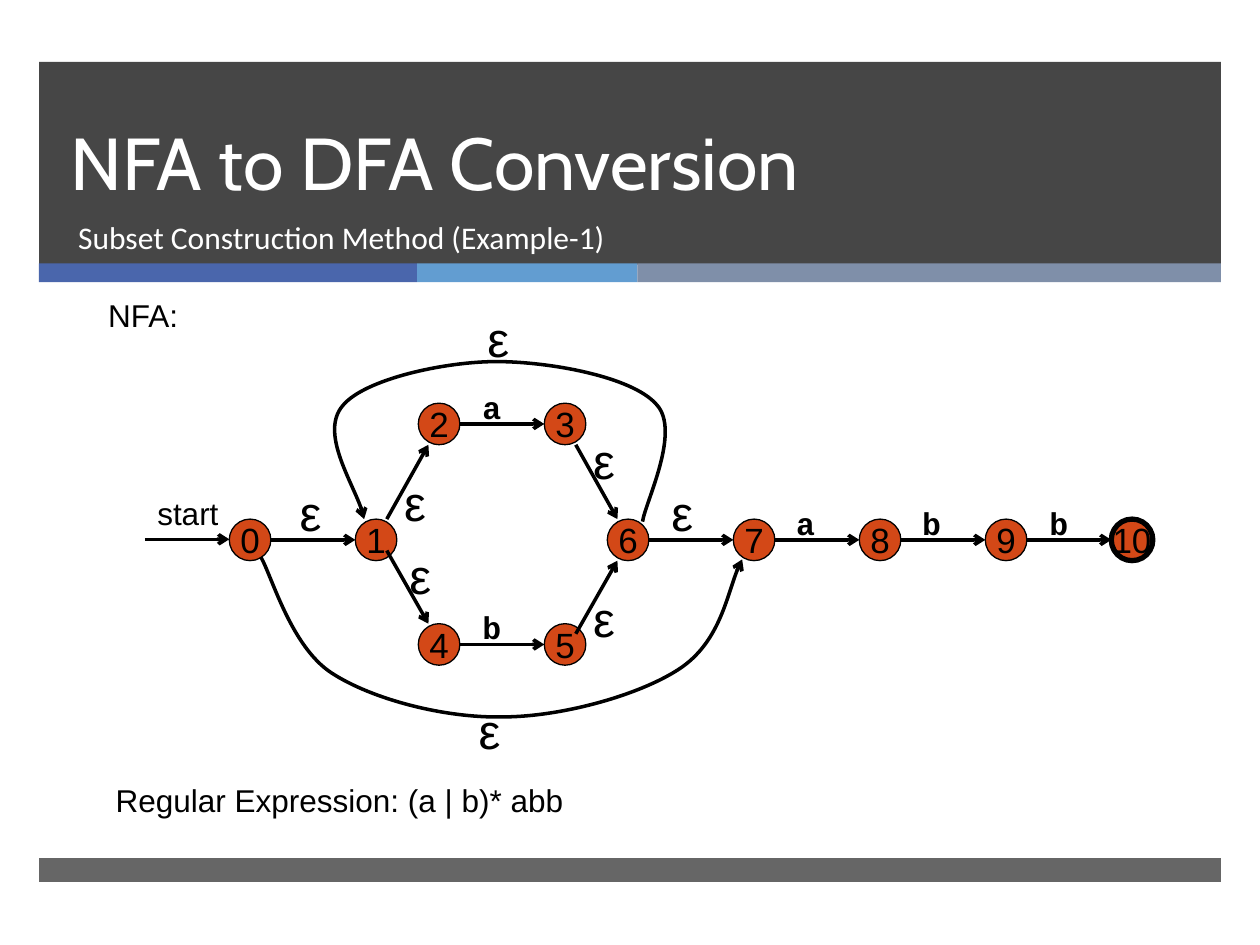
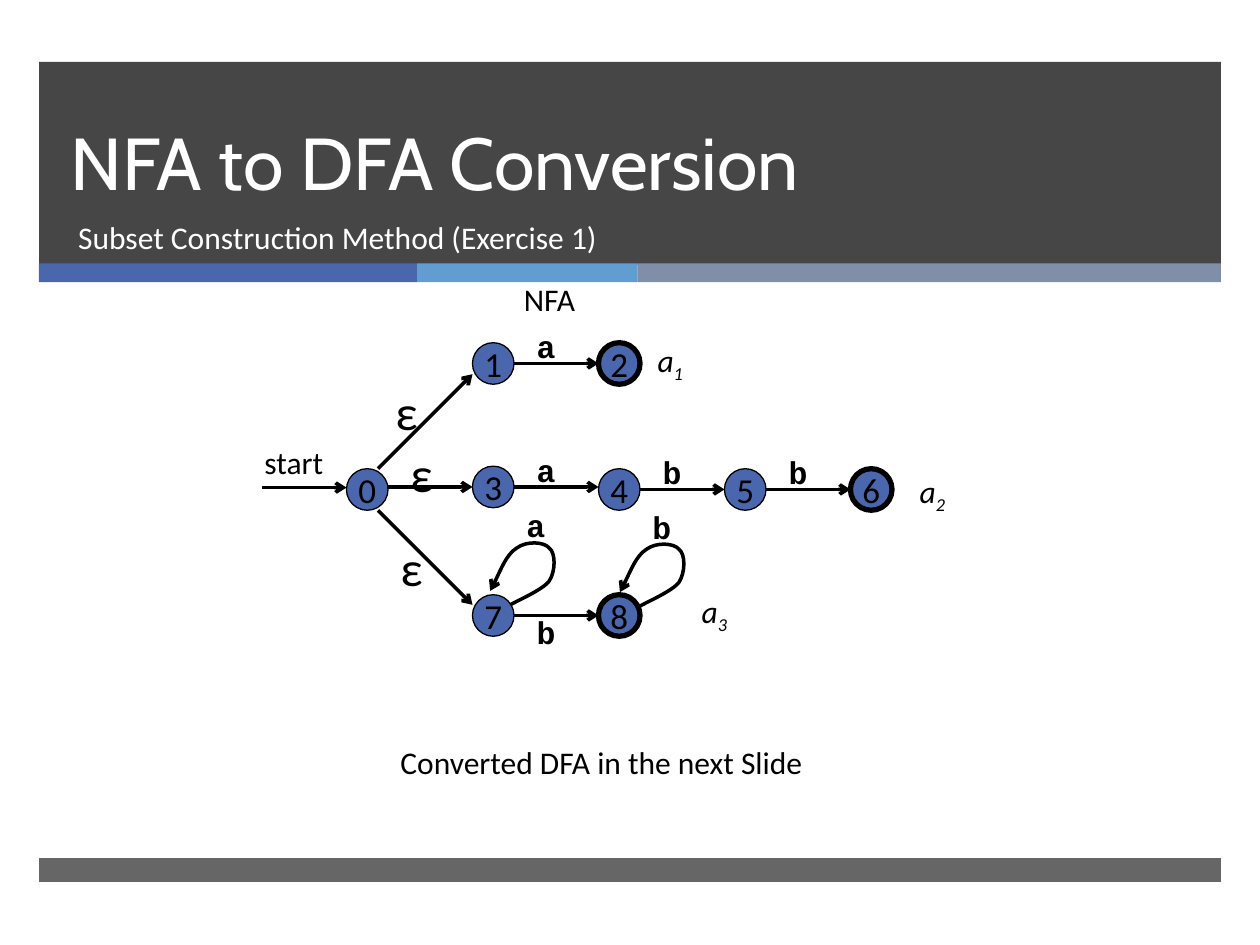
from lxml import etree
from pptx import Presentation
from pptx.dml.color import RGBColor
from pptx.enum.shapes import MSO_CONNECTOR, MSO_SHAPE
from pptx.enum.text import MSO_ANCHOR, MSO_AUTO_SIZE, PP_ALIGN
from pptx.oxml.ns import qn
from pptx.util import Inches, Pt

BLACK = RGBColor(0x00, 0x00, 0x00)
WHITE = RGBColor(0xFF, 0xFF, 0xFF)
DARK = RGBColor(0x26, 0x26, 0x26)
BLUE = RGBColor(0x4A, 0x66, 0xAC)
SKY = RGBColor(0x62, 0x9D, 0xD1)
SLATE = RGBColor(0x7F, 0x8F, 0xA9)
ORANGE = RGBColor(0xD3, 0x48, 0x17)

TITLE = "NFA to DFA Conversion"
TITLE_BOX = (0.46, 0.49, 8.54, 1.19)
SUBTITLE_BOX = (0.52, 1.68, 8.48, 0.53)

# Shared bands: box, colour, opacity in percent
BANDS = [
    ((0.31, 0.49, 9.38, 1.61), DARK, 85),
    ((0.31, 2.09, 3.00, 0.15), BLUE, 100),
    ((3.31, 2.09, 1.75, 0.15), SKY, 100),
    ((5.06, 2.09, 4.63, 0.15), SLATE, 100),
    ((0.31, 6.81, 9.38, 0.19), DARK, 70),
]

# State circles and the points on them where arrows attach
SIZE = 0.33
START_LENGTH = 0.67
PORTS = {
    "right": (SIZE, SIZE / 2), "left": (0, SIZE / 2),
    "top right": (0.25, 0), "bottom right": (0.25, SIZE),
    "top left": (0.08, 0), "bottom left": (0.08, SIZE),
    "inner top right": (0.25, 0.08), "inner bottom right": (0.25, 0.25),
    "upper left": (0, 0.08), "lower left": (0, 0.25),
}

# Self-loop of state 7; state 8 has the same one further right
LOOP = [(4.05, 4.80), (4.10, 4.77), (4.31, 4.68), (4.36, 4.61),
        (4.41, 4.53), (4.41, 4.39), (4.36, 4.35),
        (4.32, 4.30), (4.18, 4.29), (4.10, 4.35),
        (4.02, 4.40), (3.93, 4.62), (3.89, 4.69)]

SLIDES = [
    {
        "subtitle": "Subset Construction Method (Example-1)",
        "font": "Arial",
        "fill": ORANGE,
        "states": {
            0: (1.82, 4.12), 1: (2.82, 4.12), 2: (3.32, 3.20), 3: (4.32, 3.20),
            4: (3.32, 4.95), 5: (4.32, 4.95), 6: (4.82, 4.12), 7: (5.82, 4.12),
            8: (6.82, 4.12), 9: (7.82, 4.12), 10: (8.82, 4.12),
        },
        "accepting": [10],
        "straight": [(0, 1), (2, 3), (4, 5), (6, 7), (7, 8), (8, 9), (9, 10)],
        "slanted": [
            (1, "top right", 2, "bottom left"),
            (3, "bottom right", 6, "top left"),
            (1, "inner bottom right", 4, "top left"),
            (5, "inner top right", 6, "bottom left"),
        ],
        "curves": [
            [(5.10, 4.14), (5.12, 3.99), (5.41, 3.42), (5.21, 3.21),
             (5.02, 2.99), (4.36, 2.87), (3.94, 2.87),
             (3.53, 2.87), (2.89, 3.01), (2.72, 3.22),
             (2.54, 3.43), (2.86, 3.93), (2.89, 4.12)],
            [(2.07, 4.42), (2.16, 4.58), (2.31, 5.13), (2.63, 5.34),
             (2.95, 5.55), (3.53, 5.70), (3.99, 5.69),
             (4.45, 5.69), (5.07, 5.52), (5.39, 5.31),
             (5.71, 5.10), (5.79, 4.62), (5.89, 4.44)],
        ],
        "start_y": 4.28,
        "symbols": [
            ("a", 6.22, 3.95), ("b", 7.22, 3.95), ("b", 8.23, 3.95),
            ("a", 3.73, 3.03), ("b", 3.73, 4.78),
        ],
        "epsilons": [
            (2.28, 3.78), (3.11, 3.70), (3.15, 4.28), (4.61, 4.62),
            (4.61, 3.37), (5.23, 3.78), (3.70, 5.51), (3.77, 2.40),
        ],
        "captions": [
            ("start", (1.15, 3.87, 0.69, 0.4), False),
            ("Regular Expression: (a | b)* abb", (0.82, 6.15, 7.12, 0.4), True),
            ("NFA:", (0.76, 2.30, 7.12, 0.4), True),
        ],
        "patterns": [],
    },
    {
        "subtitle": "Subset Construction Method (Exercise 1)",
        "font": "Calibri",
        "fill": BLUE,
        "states": {
            0: (2.75, 3.72), 1: (3.75, 2.72), 2: (4.75, 2.72), 3: (3.75, 3.70),
            4: (4.75, 3.72), 5: (5.75, 3.72), 6: (6.75, 3.72),
            7: (3.75, 4.72), 8: (4.75, 4.72),
        },
        "accepting": [2, 6, 8],
        "straight": [(1, 2), (0, 3), (3, 4), (4, 5), (5, 6), (7, 8)],
        "slanted": [
            (0, "top right", 1, "lower left"),
            (0, "bottom right", 7, "upper left"),
        ],
        "curves": [LOOP, [(x + 1.03, y + 0.01) for x, y in LOOP]],
        "start_y": 3.87,
        "symbols": [
            ("a", 4.16, 2.55), ("a", 4.16, 3.53), ("b", 5.16, 3.55),
            ("b", 6.16, 3.55), ("b", 4.16, 4.82), ("a", 4.08, 3.97),
            ("b", 5.08, 3.98),
        ],
        "epsilons": [(3.08, 4.22), (3.16, 3.47), (3.04, 2.98)],
        "captions": [
            ("start", (2.00, 3.47, 0.69, 0.4), False),
            ("NFA", (4.06, 2.17, 0.67, 0.4), True),
            ("Converted DFA in the next Slide", (3.08, 5.85, 4.29, 0.4), True),
        ],
        "patterns": [("1", 5.12, 2.66), ("2", 7.20, 3.70), ("3", 5.47, 4.65)],
    },
]


def inches(values):
    return [Inches(v) for v in values]


def format_text(p, font, size, color=BLACK, bold=False):
    p.font.name, p.font.size, p.font.bold = font, Pt(size), bold
    p.font.color.rgb = color


def fill_placeholder(ph, text, box, font, size, anchor):
    ph.left, ph.top, ph.width, ph.height = inches(box)
    tf = ph.text_frame
    tf.text = text
    tf.auto_size = MSO_AUTO_SIZE.NONE
    tf.vertical_anchor = anchor
    p = tf.paragraphs[0]
    p.alignment = PP_ALIGN.LEFT
    p.space_before = Pt(0)
    format_text(p, font, size, WHITE)
    return p


def add_text(slide, text, box, font, size=18, bold=False, wrap=False):
    tf = slide.shapes.add_textbox(*inches(box)).text_frame
    tf.word_wrap = wrap
    tf.auto_size = MSO_AUTO_SIZE.SHAPE_TO_FIT_TEXT
    p = tf.paragraphs[0]
    p.add_run().text = text
    format_text(p, font, size, bold=bold)
    return p


def add_bands(slide, layout):
    """Draw the bands and move them to the layout, behind its placeholders."""
    for i, (box, color, opacity) in enumerate(BANDS):
        sp = slide.shapes.add_shape(MSO_SHAPE.RECTANGLE, *inches(box))
        sp.shadow.inherit = False
        sp.line.fill.background()
        sp.fill.solid()
        sp.fill.fore_color.rgb = color
        if opacity < 100:
            clr = sp.element.spPr.find(".//" + qn("a:srgbClr"))
            etree.SubElement(clr, qn("a:alpha"), val=str(opacity * 1000))
        layout.shapes.element.insert(2 + i, sp.element)


def add_state(slide, number, x, y, fill, font, accepting):
    sp = slide.shapes.add_shape(MSO_SHAPE.OVAL, *inches((x, y, SIZE, SIZE)))
    sp.shadow.inherit = False
    sp.fill.solid()
    sp.fill.fore_color.rgb = fill
    sp.line.color.rgb = BLACK
    sp.line.width = Pt(3 if accepting else 0.75)
    tf = sp.text_frame
    tf.text = str(number)
    tf.word_wrap = False
    tf.vertical_anchor = MSO_ANCHOR.MIDDLE
    tf.paragraphs[0].alignment = PP_ALIGN.CENTER
    format_text(tf.paragraphs[0], font, 20)


def style_arrow(sp):
    sp.line.color.rgb = BLACK
    sp.line.width = Pt(2)
    spPr = sp.element.spPr
    etree.SubElement(spPr.find(qn("a:ln")), qn("a:tailEnd"), type="arrow")
    etree.SubElement(spPr, qn("a:effectLst"))


def add_arrow(slide, start, end):
    style_arrow(slide.shapes.add_connector(
        MSO_CONNECTOR.STRAIGHT, *inches(start + end)))


def add_curve(slide, points):
    """Draw an open curve through Bezier points: a start, then triples."""
    start, *rest = [inches(pt) for pt in points]
    builder = slide.shapes.build_freeform(*start)
    builder.add_line_segments(rest, close=False)
    sp = builder.convert_to_shape()
    sp.fill.background()
    style_arrow(sp)
    path = sp.element.spPr.find(".//" + qn("a:path"))
    segments = path.findall(qn("a:lnTo"))
    for i in range(0, len(segments), 3):
        bezier = etree.SubElement(path, qn("a:cubicBezTo"))
        for segment in segments[i:i + 3]:
            bezier.append(segment[0])
            path.remove(segment)


def draw_automaton(slide, nfa):
    states, font = nfa["states"], nfa["font"]

    def port(state, name):
        return tuple(a + b for a, b in zip(states[state], PORTS[name]))

    for number, (x, y) in states.items():
        add_state(slide, number, x, y, nfa["fill"], font,
                  number in nfa["accepting"])

    # Transitions
    x, y = states[0][0], nfa["start_y"]
    add_arrow(slide, (x - START_LENGTH, y), (x, y))
    for a, b in nfa["straight"]:
        (x1, y1), (x2, y2) = port(a, "right"), port(b, "left")
        y = min(y1, y2)
        add_arrow(slide, (x1, y), (x2, y))
    for a, a_port, b, b_port in nfa["slanted"]:
        add_arrow(slide, port(a, a_port), port(b, b_port))
    for points in nfa["curves"]:
        add_curve(slide, points)

    # Labels
    for text, x, y in nfa["symbols"]:
        add_text(slide, text, (x, y, 0.35, 0.4), "Courier New", bold=True)
    for x, y in nfa["epsilons"]:
        add_text(slide, "ε", (x, y, 0.37, 0.57), font, 28)
    for text, box, wrap in nfa["captions"]:
        add_text(slide, text, box, font, wrap=wrap)
    for index, x, y in nfa["patterns"]:
        p = add_text(slide, "a", (x, y, 0.42, 0.4), font)
        p.font.italic = True
        r = p.add_run()
        r.text = index
        r.font.italic = True
        r.font.element.set("baseline", "-25000") if hasattr(
            r.font, "element") else r._r.get_or_add_rPr().set("baseline", "-25000")


def main():
    prs = Presentation()
    prs.slide_width, prs.slide_height = Inches(10), Inches(7.5)
    layout = prs.slide_layouts[0]
    for i, nfa in enumerate(SLIDES):
        slide = prs.slides.add_slide(layout)
        if i == 0:
            add_bands(slide, layout)
        title, subtitle = slide.placeholders
        p = fill_placeholder(title, TITLE, TITLE_BOX, "Cabin", 42,
                             MSO_ANCHOR.BOTTOM)
        p.line_spacing = Pt(46)
        fill_placeholder(subtitle, nfa["subtitle"], SUBTITLE_BOX, "Calibri", 18,
                         MSO_ANCHOR.TOP)
        draw_automaton(slide, nfa)
    prs.save("out.pptx")


if __name__ == "__main__":
    main()
